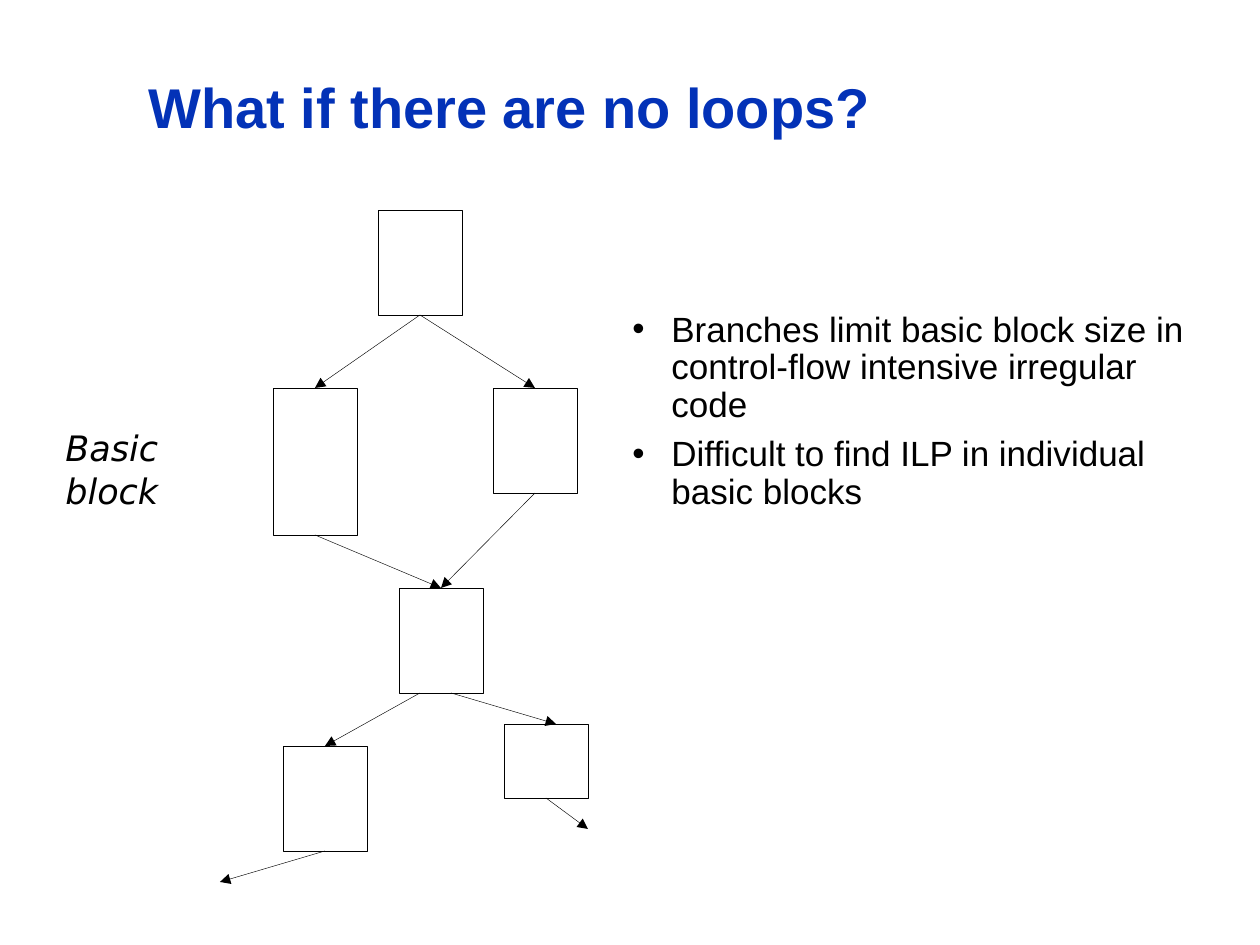
from dataclasses import dataclass

from lxml.etree import SubElement
from pptx import Presentation
from pptx.dml.color import RGBColor
from pptx.enum.shapes import MSO_CONNECTOR, MSO_SHAPE
from pptx.enum.text import MSO_ANCHOR
from pptx.oxml.ns import qn
from pptx.util import Emu, Pt

SCALE = 914400 // 126


@dataclass(frozen=True)
class Theme:
    blue: RGBColor = RGBColor(0x03, 0x32, 0xB7)
    black: RGBColor = RGBColor(0, 0, 0)
    font: str = "Arial"
    label_font: str = "DejaVu Sans"
    title_size: Pt = Pt(32)
    text_size: Pt = Pt(20)
    line_width: Pt = Pt(0.25)


THEME = Theme()


def px(n):
    return Emu(round(n * SCALE))


def add_text(slide, box, texts, color, font, para=None):
    """Place one paragraph per text, vertically centred in the box."""
    tf = slide.shapes.add_textbox(*map(px, box)).text_frame
    tf.word_wrap = True
    tf.vertical_anchor = MSO_ANCHOR.MIDDLE
    for i, text in enumerate(texts):
        p = tf.paragraphs[0] if i == 0 else tf.add_paragraph()
        for name, value in (para or {}).items():
            setattr(p, name, value)
        r = p.add_run()
        r.text = text
        r.font.color.rgb = color
        for name, value in font.items():
            setattr(r.font, name, value)
    return tf


def add_title(slide, box, text):
    add_text(slide, box, [text], THEME.blue,
             {"name": THEME.font, "size": THEME.title_size, "bold": True},
             {"line_spacing": 0.9})


def add_bullets(slide, box, texts):
    tf = add_text(slide, box, texts, THEME.black,
                  {"name": THEME.font, "size": THEME.text_size},
                  {"line_spacing": 0.9, "space_before": Pt(6.5)})
    for p in tf.paragraphs:
        pPr = p._p.get_or_add_pPr()
        pPr.set("marL", str(px(39)))
        pPr.set("indent", str(px(-39)))
        SubElement(pPr, qn("a:buFont")).set("typeface", THEME.font)
        SubElement(pPr, qn("a:buChar")).set("char", "•")


def add_label(slide, box, text):
    add_text(slide, box, [text], THEME.black,
             {"name": THEME.label_font, "size": THEME.text_size, "italic": True})


def set_line(line):
    line.color.rgb = THEME.black
    line.width = THEME.line_width


def add_arrow(slide, start, end):
    s = slide.shapes.add_connector(MSO_CONNECTOR.STRAIGHT, *map(px, (*start, *end)))
    set_line(s.line)
    SubElement(s.line._get_or_add_ln(), qn("a:tailEnd")).set("type", "triangle")
    SubElement(s._element.spPr, qn("a:effectLst"))


def add_flow_graph(slide, box):
    """Draw basic blocks and the branches between them."""
    left, top = box[:2]
    width, height = 84, 105
    # Block name: x, y, height, relative to the box
    blocks = {
        "then": (53, 178, 147),
        "else": (273, 178, height),
        "entry": (158, 0, height),
        "join": (179, 378, height),
        "taken": (63, 536, height),
        "fallthrough": (284, 514, 74),
    }
    for x, y, h in blocks.values():
        s = slide.shapes.add_shape(MSO_SHAPE.RECTANGLE,
                                   *map(px, (left + x, top + y, width, h)))
        s.shadow.inherit = False
        s.fill.background()
        set_line(s.line)

    def port(name, shift=0, bottom=False):
        x, y, h = blocks[name]
        return left + x + width // 2 + shift, top + y + (h if bottom else 0)

    # Source, shift from its centre, target, shift from its centre
    branches = [
        ("entry", 0, "then", 0), ("entry", 0, "else", 0),
        ("then", 0, "join", 0), ("else", 0, "join", 0),
        ("join", -21, "taken", 0), ("join", 10, "fallthrough", 10),
    ]
    for source, shift, target, target_shift in branches:
        add_arrow(slide, port(source, shift, True), port(target, target_shift))

    # Branches that leave the graph
    for source, dx, dy in [("fallthrough", 42, 31), ("taken", -105, 31)]:
        x, y = port(source, bottom=True)
        add_arrow(slide, (x, y), (x + dx, y + dy))


def build_slide(prs):
    slide = prs.slides.add_slide(prs.slide_layouts[6])
    add_title(slide, (136, 42, 987, 136), "What if there are no loops?")
    add_bullets(slide, (620, 305, 609, 214), [
        "Branches limit basic block size in control-flow intensive irregular code",
        "Difficult to find ILP in individual basic blocks",
    ])
    add_flow_graph(slide, (220, 210, 368, 672))
    add_label(slide, (53, 420, 140, 98), "Basic block")


prs = Presentation()
prs.slide_width, prs.slide_height = px(1260), px(945)
build_slide(prs)
prs.save("out.pptx")
